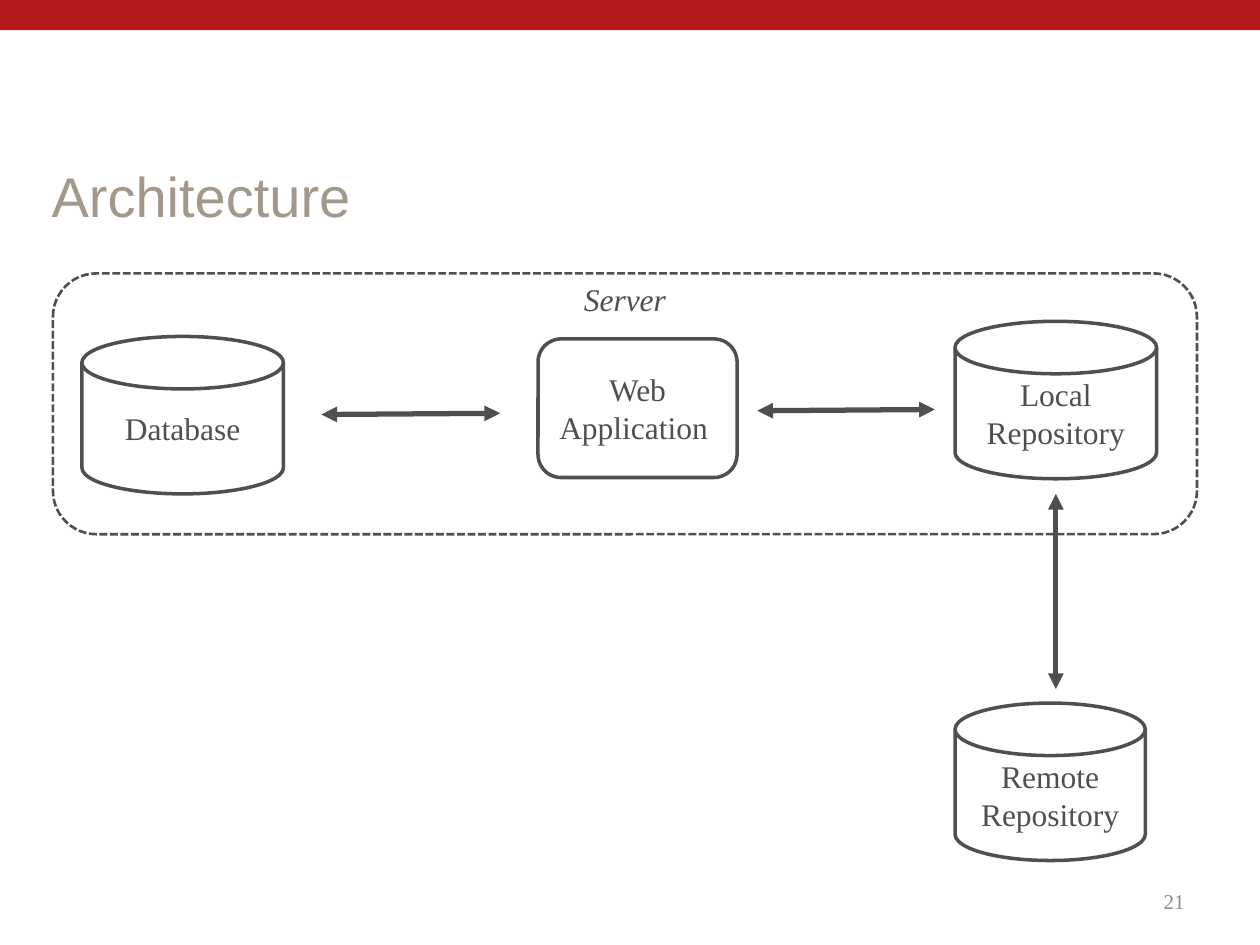
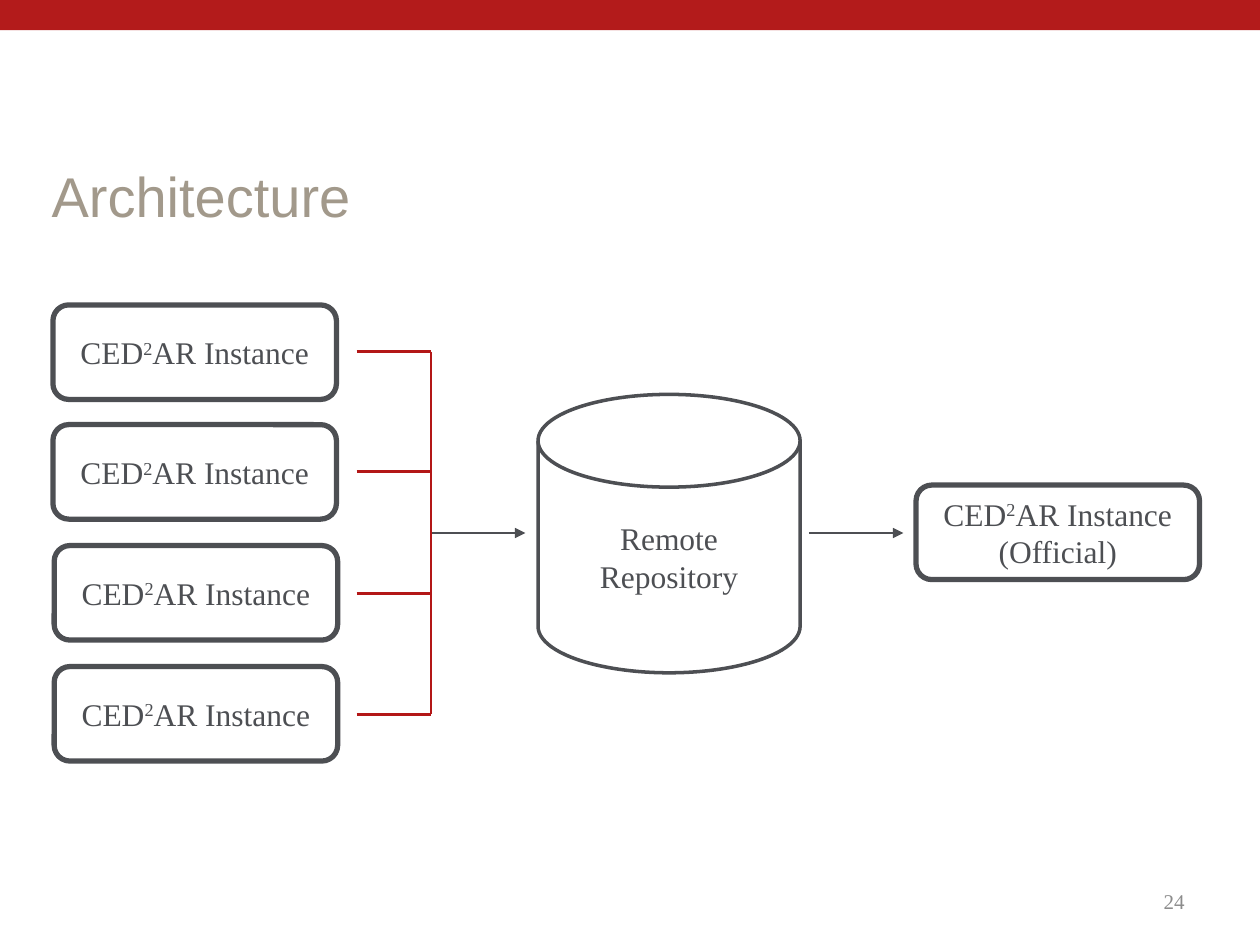
"""Build two architecture slides: one server, and many instances sharing a repository."""
from lxml.etree import SubElement
from pptx import Presentation
from pptx.dml.color import RGBColor
from pptx.enum.dml import MSO_LINE
from pptx.enum.shapes import MSO_CONNECTOR, MSO_SHAPE
from pptx.enum.text import MSO_ANCHOR, PP_ALIGN
from pptx.oxml.ns import qn
from pptx.util import Pt

PX = 9144
RED, WIRE, GREY, TAN, PALE = "B31B1B", "B31717", "4D4F53", "A2998B", "8C8C8C"
WHITE = "FFFFFF"
DISK, ROUND = MSO_SHAPE.FLOWCHART_MAGNETIC_DISK, MSO_SHAPE.ROUNDED_RECTANGLE
LEFT, MID, RIGHT = PP_ALIGN.LEFT, PP_ALIGN.CENTER, PP_ALIGN.RIGHT
rgb = RGBColor.from_string


def write(frame, text, size=18, face="Times New Roman", color=GREY,
          align=MID, anchor=MSO_ANCHOR.MIDDLE, italic=False):
    """Fill a frame; pieces between carets become superscript."""
    frame.word_wrap = True
    frame.vertical_anchor = anchor
    for row, words in enumerate(text.split("\n")):
        para = frame.add_paragraph() if row else frame.paragraphs[0]
        para.alignment = align
        for turn, piece in enumerate(words.split("^")):
            run = para.add_run()
            run.text = piece
            run.font.size = Pt(size)
            run.font.name = face
            run.font.italic = italic
            run.font.color.rgb = rgb(color)
            if turn % 2:
                run._r.get_or_add_rPr().set("baseline", "30000")


def draw(slide, kind, at, width, text="", fill=WHITE):
    """Add a flat shape, outlined when it has a line width."""
    shape = slide.shapes.add_shape(kind, *(n * PX for n in at))
    shape.shadow.inherit = False
    shape.fill.solid()
    shape.fill.fore_color.rgb = rgb(fill)
    if width:
        shape.line.width = Pt(width)
        shape.line.color.rgb = rgb(GREY)
    else:
        shape.line.fill.background()
    if text:
        write(shape.text_frame, text)
    return shape


deck = Presentation()
deck.slide_width, deck.slide_height = 1000 * PX, 750 * PX

pages = []
for number in ("21", "24"):
    page = deck.slides.add_slide(deck.slide_layouts[5])
    draw(page, MSO_SHAPE.RECTANGLE, (0, 0, 1000, 24), 0, fill=RED)
    title = page.shapes.title
    title.left, title.top, title.width, title.height = (
        n * PX for n in (31, 117, 949, 75))
    write(title.text_frame, "Architecture", size=32, face="Arial",
          color=TAN, align=LEFT)
    foot = page.shapes.add_textbox(*(n * PX for n in (717, 695, 233, 40)))
    write(foot.text_frame, number, size=12, color=PALE, align=RIGHT)
    pages.append(page)
single, shared = pages

area = draw(single, ROUND, (42, 217, 908, 207), 1.5)
area.line.dash_style = MSO_LINE.SQUARE_DOT
label = single.shapes.add_textbox(*(n * PX for n in (42, 217, 908, 40)))
write(label.text_frame, "Server", italic=True, anchor=MSO_ANCHOR.TOP)
draw(single, ROUND, (427, 269, 158, 110), 2, "Web\nApplication ")
for left, top, width, text in (
        (758, 255, 160, "Local Repository"),
        (65, 267, 160, "Database"),
        (758, 558, 151, "Remote\nRepository")):
    draw(single, DISK, (left, top, width, 125), 2, text)

unit = "CED^2^AR Instance"
draw(shared, DISK, (427, 313, 208, 221), 2, "Remote\nRepository")
for left, top in ((42, 242), (42, 337), (43, 433), (43, 529)):
    draw(shared, ROUND, (left, top, 225, 75), 3, unit)
draw(shared, ROUND, (727, 385, 225, 75), 3, unit + "\n(Official)")

both, end = ("headEnd", "tailEnd"), ("tailEnd",)
links = [
    (single, (255, 329, 397, 328), GREY, 3, both),
    (single, (838, 392, 838, 547), GREY, 3, both),
    (single, (601, 326, 742, 325), GREY, 3, both),
    (shared, (342, 423, 417, 423), GREY, 1.5, end),
    (shared, (642, 423, 717, 423), GREY, 1.5, end),
    (shared, (342, 279, 342, 567), WIRE, 1.5, ()),
]
links += [(shared, (283, y, 342, y), WIRE, 1.5, ())
          for y in (279, 374, 471, 567)]
for page, ends, color, width, tips in links:
    link = page.shapes.add_connector(
        MSO_CONNECTOR.STRAIGHT, *(n * PX for n in ends))
    link.line.width = Pt(width)
    link.line.color.rgb = rgb(color)
    props = link._element.spPr
    for tip in tips:
        SubElement(props.find(qn("a:ln")), qn("a:" + tip), type="triangle")
    SubElement(props, qn("a:effectLst"))

deck.save("out.pptx")
